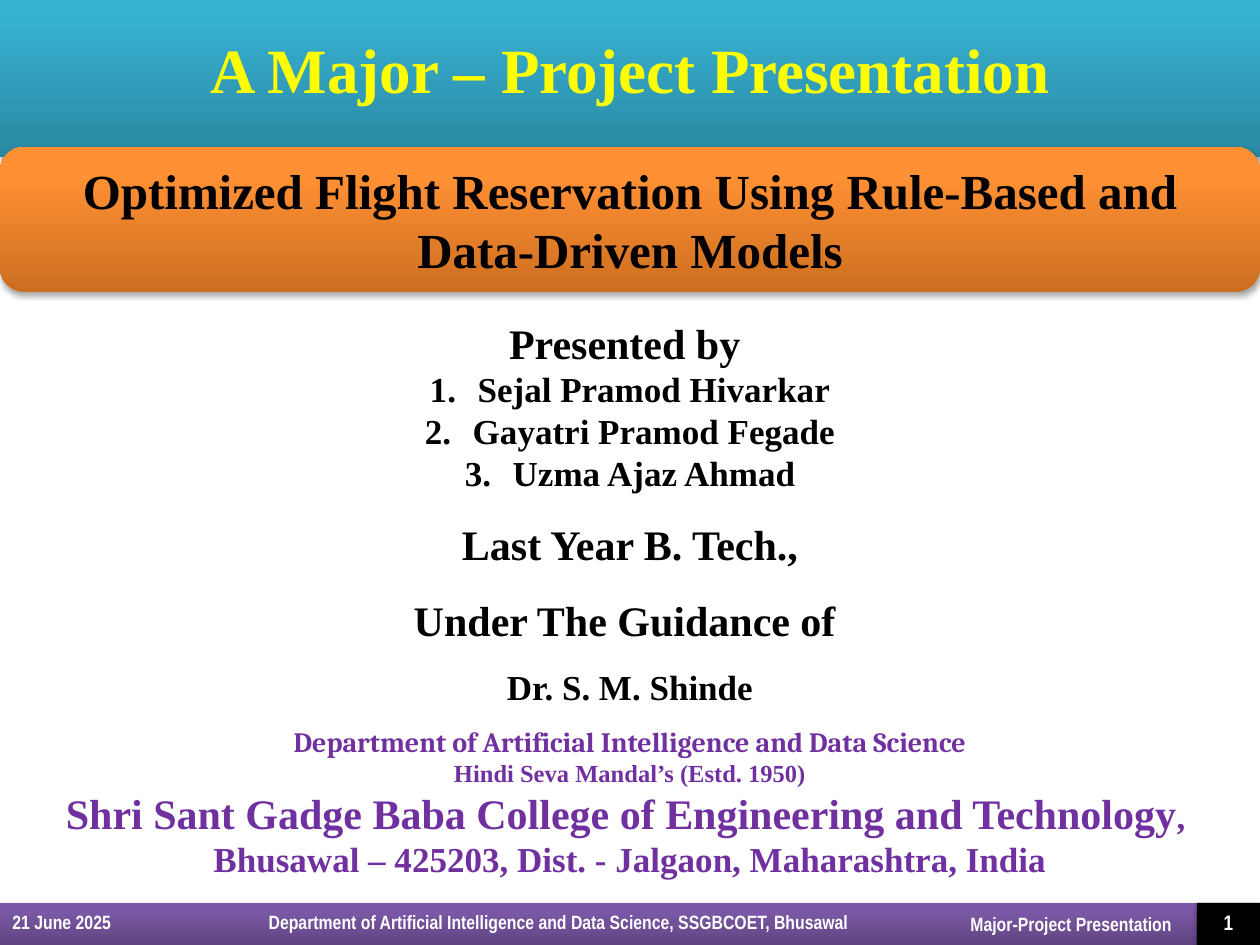
from lxml.etree import SubElement
from pptx import Presentation
from pptx.dml.color import RGBColor
from pptx.enum.shapes import MSO_SHAPE
from pptx.enum.text import MSO_ANCHOR, MSO_AUTO_SIZE, PP_ALIGN
from pptx.oxml import parse_xml
from pptx.oxml.ns import nsdecls, qn
from pptx.util import Inches, Pt

COLUMNS, ROWS = 60, 45
SERIF, NARROW, BOOK = "Times New Roman", "Arial Narrow", "Cambria"
BLACK, WHITE, YELLOW, PURPLE = "000000", "FFFFFF", "FFFF00", "7030A0"
TEAL_BAND = ("2A88A2", "37B1D2", "34B4D6")
PURPLE_BAND = ("5F4480", "7B58A6", "7C57A8")
ORANGE_BAND = ("CC6E20", "FF9034", "FF9136")


def color(value):
    return RGBColor.from_string(value)


class CoverPage:
    def __init__(self, deck):
        self.page = deck.slides.add_slide(deck.slide_layouts[0])
        self.column = deck.slide_width / COLUMNS
        self.row = deck.slide_height / ROWS

    def area(self, left, top, width, height):
        return (round(left * self.column), round(top * self.row),
                round(width * self.column), round(height * self.row))

    def place(self, shape, *cells):
        shape.left, shape.top, shape.width, shape.height = self.area(*cells)

    def paint(self, shape, fill):
        if isinstance(fill, str):
            shape.fill.solid()
            shape.fill.fore_color.rgb = color(fill)
        else:
            stops = "".join(
                f'<a:gs pos="{position}000"><a:srgbClr val="{value}"/></a:gs>'
                for position, value in zip((0, 80, 100), fill))
            shape.fill.background()
            properties = shape._element.spPr
            properties.replace(properties.find(qn("a:noFill")), parse_xml(
                f'<a:gradFill rotWithShape="1" {nsdecls("a")}><a:gsLst>{stops}</a:gsLst>'
                '<a:lin ang="16200000" scaled="0"/></a:gradFill>'))
        shape.line.fill.background()
        shape.shadow.inherit = False
        effects = shape._element.spPr.find(qn("a:effectLst"))
        effects.append(parse_xml(
            f'<a:outerShdw {nsdecls("a")} blurRad="{Pt(3.1)}" dist="{Pt(1.8)}" '
            'dir="5400000" rotWithShape="0"><a:srgbClr val="000000">'
            '<a:alpha val="35000"/></a:srgbClr></a:outerShdw>'))

    def frame(self, shape, anchor=MSO_ANCHOR.MIDDLE):
        frame = shape.text_frame
        frame.word_wrap = True
        frame.auto_size = MSO_AUTO_SIZE.NONE
        frame.vertical_anchor = anchor
        return frame

    def set_text(self, para, text, size, font, ink, spacing=1.0, align=PP_ALIGN.CENTER):
        para.text = text
        para.alignment = align
        para.line_spacing = spacing
        para.space_before = para.space_after = Pt(0)
        para.font.size = Pt(size)
        para.font.name = font
        para.font.bold = True
        para.font.color.rgb = color(ink)

    def title(self, text, cells, fill):
        box = self.page.shapes.title
        self.place(box, *cells)
        self.paint(box, fill)
        self.set_text(self.frame(box).paragraphs[0], text, 36, SERIF, YELLOW)

    def band(self, cells, fill, kind=MSO_SHAPE.RECTANGLE):
        box = self.page.shapes.add_shape(kind, *self.area(*cells))
        self.paint(box, fill)
        return box

    def label(self, cells, text, align, spacing=1.0):
        box = self.page.shapes.add_textbox(*self.area(*cells))
        self.set_text(self.frame(box).paragraphs[0], text, 11, NARROW, WHITE, spacing, align)

    def indent(self, para, margin, first):
        properties = para._p.get_or_add_pPr()
        properties.set("marL", str(Inches(margin)))
        properties.set("indent", str(Inches(first)))
        return properties

    def number(self, para):
        properties = self.indent(para, 0.38, -0.38)
        bullet = SubElement(properties, qn("a:buAutoNum"), type="arabicPeriod")
        properties.remove(bullet)
        properties.insert_element_before(bullet, "a:tabLst", "a:defRPr", "a:extLst")

    def body(self, cells, lines):
        box = self.page.placeholders[1]
        self.place(box, *cells)
        frame = self.frame(box, MSO_ANCHOR.BOTTOM)
        paras = [frame.paragraphs[0]] + [frame.add_paragraph() for _ in lines[1:]]
        for para, line in zip(paras, lines):
            self.set_text(para, *line)
        return paras


def main():
    deck = Presentation()
    deck.slide_width, deck.slide_height = Inches(10), Inches(7.5)
    cover = CoverPage(deck)

    cover.title("A Major – Project Presentation", (0, -1, 60, 8.5), TEAL_BAND)

    students = ("Sejal Pramod Hivarkar", "Gayatri Pramod Fegade", "Uzma Ajaz Ahmad")
    paras = cover.body((0, 14, 60, 28.2), [
        ("Presented by ", 24, SERIF, BLACK, 1.5),
        *((name, 20, SERIF, BLACK) for name in students),
        ("Last Year B. Tech.,", 24, SERIF, BLACK, 1.5),
        ("Under The Guidance of ", 24, SERIF, BLACK, 1.5),
        ("Dr. S. M. Shinde", 20, SERIF, BLACK, 1.5),
        ("Department of Artificial Intelligence and Data Science", 16, BOOK, PURPLE, 1.5),
        ("Hindi Seva Mandal’s (Estd. 1950)", 14, SERIF, PURPLE),
        ("Shri Sant Gadge Baba College of Engineering and Technology", 24, SERIF, PURPLE),
        ("Bhusawal – 425203, Dist. - Jalgaon, Maharashtra, India", 20, SERIF, PURPLE),
    ])
    for para in paras[1:4]:
        cover.number(para)
    cover.indent(paras[4], 0, -0.25)
    span = paras[-2].add_run()
    span.text = ", "
    span.font.size = Pt(20)

    cover.band((0, 43, 60, 2), PURPLE_BAND)
    cover.label((0, 43, 10, 2), "21 June 2025", PP_ALIGN.LEFT, 0.8)
    cover.label((12.2, 43, 30.8, 2),
                "Department of Artificial Intelligence and Data Science, SSGBCOET, Bhusawal",
                PP_ALIGN.LEFT, 0.8)
    cover.label((43, 43, 13.4, 2), "Major-Project Presentation", PP_ALIGN.RIGHT)
    number_box = cover.band((57, 43, 3, 2), BLACK)
    cover.set_text(cover.frame(number_box).paragraphs[0], "1", 12, NARROW, WHITE, 0.8)

    topic = cover.band((0, 7, 60, 6.9), ORANGE_BAND, MSO_SHAPE.ROUNDED_RECTANGLE)
    cover.set_text(cover.frame(topic).paragraphs[0],
                   "Optimized Flight Reservation Using Rule-Based and Data-Driven Models",
                   28, SERIF, BLACK)

    deck.save("out.pptx")


if __name__ == "__main__":
    main()
